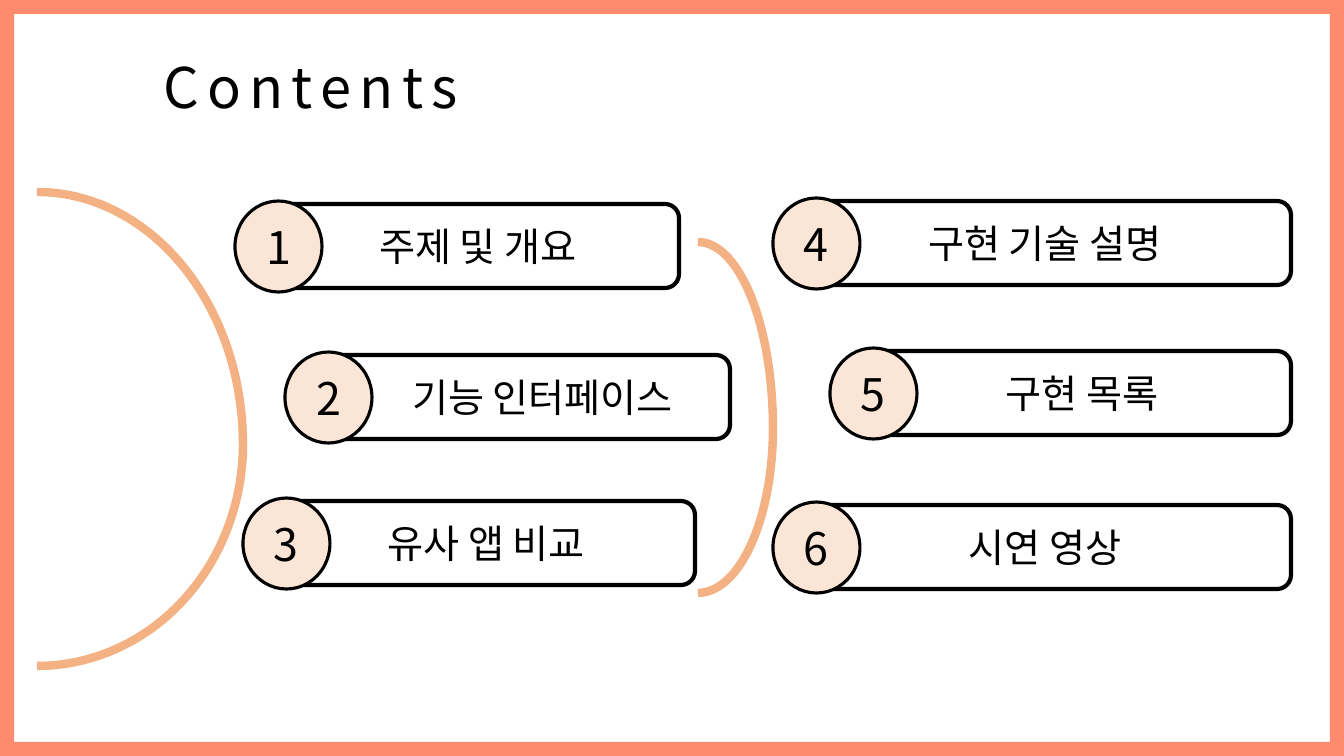
from dataclasses import dataclass

from lxml.etree import SubElement
from pptx import Presentation
from pptx.dml.color import RGBColor
from pptx.enum.shapes import MSO_SHAPE
from pptx.enum.text import MSO_ANCHOR, MSO_AUTO_SIZE, PP_ALIGN
from pptx.oxml.ns import qn
from pptx.util import Pt

EMU_PER_PIXEL = 914400 / 100.8
SLIDE_WIDTH, SLIDE_HEIGHT = 1344, 756
TITLE_ONLY = 5


@dataclass(frozen=True)
class Theme:
    font: str = "Noto Sans CJK KR"
    ink: str = "000000"
    frame: str = "FF3300"
    frame_opacity: int = 56
    bracket: str = "F4B183"
    badge: str = "FBE5D6"
    title_size: int = 40
    label_size: int = 28
    number_size: int = 32
    letter_spacing: int = 6
    frame_line: float = 20
    bracket_line: float = 6
    bar_line: float = 3
    badge_line: float = 2.25


THEME = Theme()
BAR_HEIGHT = 84
BADGE_WIDTH, BADGE_HEIGHT = 87, 91
TEXT_MARGIN = 10

# Label, badge left, badge top, bar left, bar right, text indent
ITEMS = [
    ("주제 및 개요", 235, 201, 261, 679, 16),
    ("기능 인터페이스", 285, 352, 311, 730, 44),
    ("유사 앱 비교", 243, 498, 277, 695, 0),
    ("구현 기술 설명", 773, 198, 799, 1291, 0),
    ("구현 목록", 830, 348, 873, 1291, 0),
    ("시연 영상", 773, 502, 799, 1291, 0),
]


def px(length):
    return round(length * EMU_PER_PIXEL)


def add_outline(shapes, kind, box, color, width, fill=None):
    shape = shapes.add_shape(kind, *map(px, box))
    shape.shadow.inherit = False
    shape.line.color.rgb = RGBColor.from_string(color)
    shape.line.width = Pt(width)
    if fill:
        shape.fill.solid()
        shape.fill.fore_color.rgb = RGBColor.from_string(fill)
    else:
        shape.fill.background()
    return shape


def set_text(shape, text, size, alignment):
    frame = shape.text_frame
    frame.text = text
    frame.vertical_anchor = MSO_ANCHOR.MIDDLE
    paragraph = frame.paragraphs[0]
    paragraph.alignment = alignment
    font = paragraph.runs[0].font
    font.size = Pt(size)
    font.name = THEME.font
    font.color.rgb = RGBColor.from_string(THEME.ink)
    # Korean glyphs take the East Asian typeface
    properties = paragraph.runs[0]._r.get_or_add_rPr()
    SubElement(properties, qn("a:ea"), typeface=THEME.font)
    return properties


def add_frame(slide, box):
    frame = add_outline(slide.shapes, MSO_SHAPE.RECTANGLE, box, THEME.frame, THEME.frame_line)
    color = frame.line._ln.find(qn("a:solidFill"))[0]
    SubElement(color, qn("a:alpha"), val=str(THEME.frame_opacity * 1000))


def add_title(slide, box):
    title = slide.shapes.title
    title.left, title.top, title.width, title.height = map(px, box)
    properties = set_text(title, "Contents", THEME.title_size, PP_ALIGN.LEFT)
    properties.set("spc", str(THEME.letter_spacing * 100))
    title.text_frame.auto_size = MSO_AUTO_SIZE.NONE


def add_bracket(slide, left, top, width, upper, lower):
    """Join an upper and a lower quarter arc, bulging to the right."""
    shapes = slide.shapes.add_group_shape().shapes
    joint = top + upper
    upper_box = (left - width, top, 2 * width, 2 * upper)
    # The lower arc is turned, so its width and height trade places
    lower_box = (left - lower, joint - width, 2 * lower, 2 * width)
    for box, rotation in ((upper_box, 0), (lower_box, 90)):
        arc = add_outline(shapes, MSO_SHAPE.ARC, box, THEME.bracket, THEME.bracket_line)
        arc.rotation = rotation


def add_item(slide, number, label, left, top, bar_left, bar_right, indent):
    shapes = slide.shapes.add_group_shape().shapes
    # Label bar, vertically centred on the badge
    bar_top = top + (BADGE_HEIGHT - BAR_HEIGHT) // 2
    bar_box = (bar_left, bar_top, bar_right - bar_left, BAR_HEIGHT)
    bar = add_outline(shapes, MSO_SHAPE.ROUNDED_RECTANGLE, bar_box, THEME.ink, THEME.bar_line)
    set_text(bar, label, THEME.label_size, PP_ALIGN.CENTER)
    bar.text_frame.margin_left = px(TEXT_MARGIN + indent)
    # Number badge
    badge_box = (left, top, BADGE_WIDTH, BADGE_HEIGHT)
    badge = add_outline(shapes, MSO_SHAPE.OVAL, badge_box, THEME.ink, THEME.badge_line, THEME.badge)
    set_text(badge, str(number), THEME.number_size, PP_ALIGN.CENTER)


def build_contents(presentation):
    slide = presentation.slides.add_slide(presentation.slide_layouts[TITLE_ONLY])
    add_frame(slide, (0, 0, SLIDE_WIDTH, SLIDE_HEIGHT))
    add_title(slide, (153, 46, 435, 80))
    add_bracket(slide, left=37, top=192, width=206, upper=252, lower=222)
    add_bracket(slide, left=698, top=242, width=75, upper=186, lower=165)
    for number, item in enumerate(ITEMS, start=1):
        add_item(slide, number, *item)


def main():
    presentation = Presentation()
    presentation.slide_width = px(SLIDE_WIDTH)
    presentation.slide_height = px(SLIDE_HEIGHT)
    build_contents(presentation)
    presentation.save("out.pptx")


if __name__ == "__main__":
    main()
